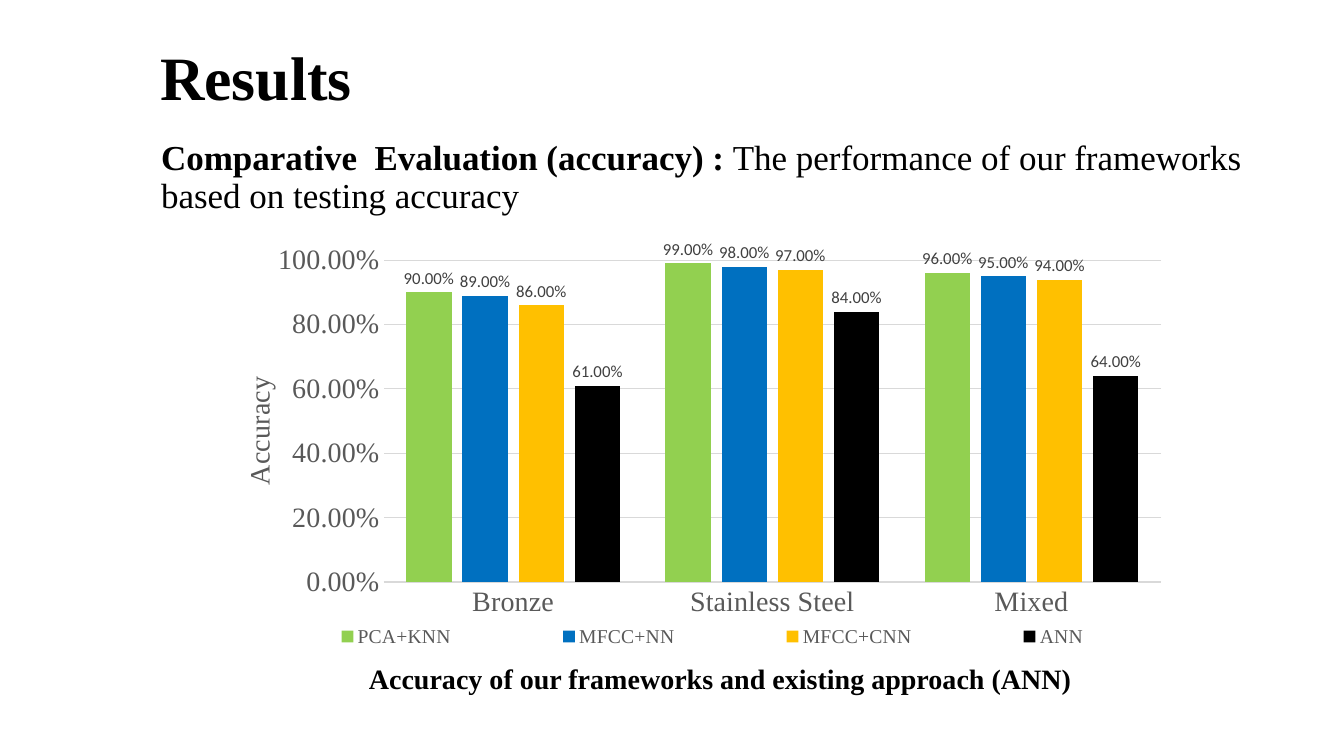
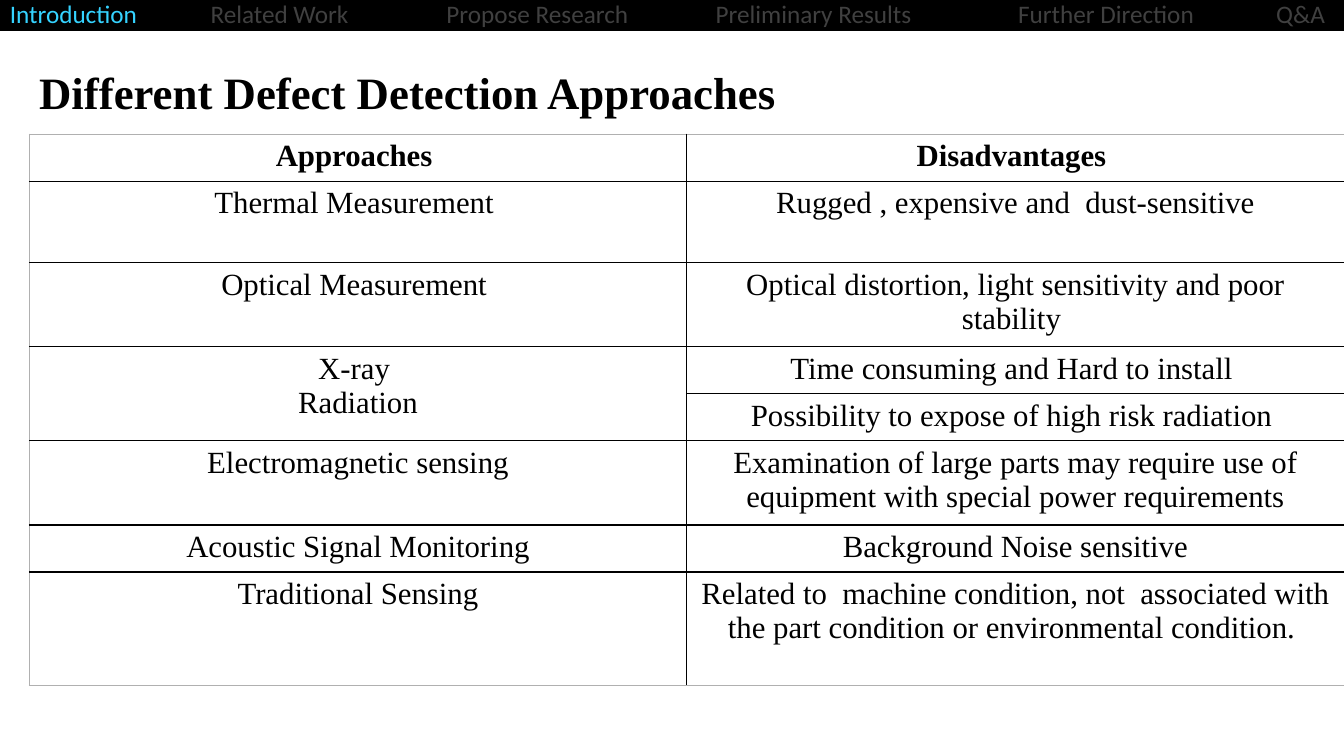
from lxml import etree
from pptx import Presentation
from pptx import util as u
from pptx.chart import data
from pptx.dml import color
from pptx.enum import chart as ch, shapes, text
from pptx.oxml import ns

COLORS = {
    "ink": "000000", "paper": "FFFFFF", "active": "35D3FF", "idle": "404040",
    "axis": "595959", "grid": "D9D9D9", "edge": "B0B0B0",
    "PCA+KNN": "92D050", "MFCC+NN": "0070C0", "MFCC+CNN": "FFC000", "ANN": "000000",
}
RGB = {name: color.RGBColor.from_string(value) for name, value in COLORS.items()}
SERIF, SANS = "Times New Roman", "Calibri"


def style(font, ink="ink", **values):
    font.color.rgb = RGB[ink]
    for attribute, value in values.items():
        setattr(font, attribute, value)


def add_text(slide, box, runs, anchor=text.MSO_ANCHOR.MIDDLE, spacing=0.9):
    frame = slide.shapes.add_textbox(*map(u.Inches, box)).text_frame
    frame.word_wrap = True
    frame.vertical_anchor = anchor
    paragraph = frame.paragraphs[0]
    paragraph.line_spacing = spacing
    for words, values in runs:
        run = paragraph.add_run()
        run.text = words
        style(run.font, **values)
    return frame


prs = Presentation()
prs.slide_width, prs.slide_height = u.Inches(13.33), u.Inches(7.5)
results, approaches = [prs.slides.add_slide(prs.slide_layouts[6]) for _ in range(2)]

heading = {"name": SERIF, "bold": True}
lead = {"name": SERIF, "size": u.Pt(25)}
add_text(results, (1.49, 0.19, 10.74, 1.22), [("Results", {**heading, "size": u.Pt(44)})])
add_text(results, (1.5, 1.35, 11.13, 0.84), [
    ("Comparative  Evaluation (accuracy) : ", {**lead, "bold": True}),
    ("The performance of our frameworks based on testing accuracy", lead),
])
add_text(results, (3.56, 6.51, 8.42, 0.44),
         [("Accuracy of our frameworks and existing approach (ANN)", {**heading, "size": u.Pt(20)})],
         text.MSO_ANCHOR.TOP, 1.0)

accuracies = {
    "PCA+KNN": (0.9, 0.99, 0.96),
    "MFCC+NN": (0.89, 0.98, 0.95),
    "MFCC+CNN": (0.86, 0.97, 0.94),
    "ANN": (0.61, 0.84, 0.64),
}
accuracy_data = data.CategoryChartData(number_format="0.00%")
accuracy_data.categories = ["Bronze", "Stainless Steel", "Mixed"]
for framework, values in accuracies.items():
    accuracy_data.add_series(framework, values)
accuracy = results.shapes.add_chart(
    ch.XL_CHART_TYPE.COLUMN_CLUSTERED,
    *map(u.Inches, (2.34, 2.16, 9.45, 4.35)), accuracy_data).chart
accuracy.has_title = False
style(accuracy.font, name=SANS, size=u.Pt(10))

bars = accuracy.plots[0]
bars.gap_width, bars.overlap, bars.vary_by_categories = 100, -24, False
for series in bars.series:
    series.format.fill.solid()
    series.format.fill.fore_color.rgb = RGB[series.name]
    labels = series.data_labels
    for attribute, value in {
        "show_value": True, "position": ch.XL_LABEL_POSITION.OUTSIDE_END,
        "number_format": "0.00%", "number_format_is_linked": False,
    }.items():
        setattr(labels, attribute, value)
    style(labels.font, "idle", name=SANS, size=u.Pt(12))

axis_font = {"ink": "axis", "name": SERIF, "size": u.Pt(20)}
metals, scale = accuracy.category_axis, accuracy.value_axis
for axis in (metals, scale):
    axis.major_tick_mark = axis.minor_tick_mark = ch.XL_TICK_MARK.NONE
    style(axis.tick_labels.font, **axis_font)
scale.minimum_scale, scale.maximum_scale, scale.major_unit = 0, 1, 0.2
scale.tick_labels.number_format = "0.00%"
scale.tick_labels.number_format_is_linked = False
scale.format.line.fill.background()
for line, width in ((metals.format.line, 1), (scale.major_gridlines.format.line, 0.75)):
    line.color.rgb = RGB["grid"]
    line.width = u.Pt(width)
scale_title = scale.axis_title.text_frame
scale_title.text = "Accuracy"
style(scale_title.paragraphs[0].runs[0].font, bold=False, **axis_font)

accuracy.has_legend = True
legend = accuracy.legend
legend.position = ch.XL_LEGEND_POSITION.BOTTOM
legend.include_in_layout = False
style(legend.font, "axis", name=SERIF, size=u.Pt(14))

plot_area = accuracy.element.find(".//" + ns.qn("c:plotArea"))
legend_area = accuracy.element.find(".//" + ns.qn("c:legend"))
for area, index, target, extent in (
    (plot_area, 0, "inner", (0.155, 0.097, 0.816, 0.734)),
    (legend_area, 1, None, (0, 0.92, 1, 0.07)),
):
    for automatic in area.findall(ns.qn("c:layout")):
        area.remove(automatic)
    layout = etree.Element(ns.qn("c:layout"))
    manual = etree.SubElement(layout, ns.qn("c:manualLayout"))
    settings = [("layoutTarget", target)] if target else []
    settings += [("xMode", "edge"), ("yMode", "edge"), *zip("xywh", extent)]
    for tag, value in settings:
        etree.SubElement(manual, ns.qn("c:" + tag), val=str(value))
    area.insert(index, layout)

band = approaches.shapes.add_shape(
    shapes.MSO_SHAPE.RECTANGLE, 0, 0, prs.slide_width, u.Inches(0.3))
band.shadow.inherit = False
band.fill.solid()
band.fill.fore_color.rgb = band.line.color.rgb = RGB["ink"]
band.line.width = u.Pt(1)

nav_font = {"name": SANS, "size": u.Pt(18)}
sections = ["Related Work", "Propose Research", "Preliminary Results", "Further Direction", "Q&A"]
nav = add_text(approaches, (0, 0, 13.33, 0.3), [
    ("Introduction", {**nav_font, "ink": "active"}),
    *[("\t" + section, {**nav_font, "ink": "idle"}) for section in sections],
])
nav.margin_top = nav.margin_bottom = 0
nav_format = nav.paragraphs[0]._p.get_or_add_pPr()
tabs = etree.SubElement(nav_format, ns.qn("a:tabLst"))
for stop in (1.99, 4.33, 7, 10, 12.56):
    etree.SubElement(tabs, ns.qn("a:tab"), pos=str(u.Inches(stop)), algn="l")

rows = [
    (0.44, "Approaches ", "Disadvantages "),
    (0.81, "Thermal Measurement ", "Rugged , expensive and  dust-sensitive"),
    (0.78, "Optical Measurement ", "Optical distortion, light sensitivity and poor stability "),
    (0.44, "X-ray \nRadiation", "Time consuming and Hard to install "),
    (0.45, "", "Possibility to expose of high risk radiation "),
    (0.81, "Electromagnetic sensing",
     "Examination of large parts may require use of equipment with special power requirements"),
    (0.44, "Acoustic Signal Monitoring", "Background Noise sensitive"),
    (1.12, "Traditional Sensing",
     "Related to  machine condition, not  associated with the part condition or environmental condition. "),
]
comparison = approaches.shapes.add_table(
    len(rows), 2, *map(u.Inches, (0.29, 1.33, 13.04, sum(row[0] for row in rows)))).table
comparison.first_row = comparison.horz_banding = False
comparison.cell(3, 0).merge(comparison.cell(4, 0))
for r, (height, *entries) in enumerate(rows):
    comparison.rows[r].height = u.Inches(height)
    for c, entry in enumerate(entries):
        cell = comparison.cell(r, c)
        if entry:
            cell.text = entry
        for paragraph in cell.text_frame.paragraphs:
            paragraph.alignment = text.PP_ALIGN.CENTER
            for run in paragraph.runs:
                style(run.font, name=SERIF, size=u.Pt(22), bold=r == 0)
        borders = cell._tc.get_or_add_tcPr()
        outer = {"L": c == 0, "R": c == 1, "T": r == 0, "B": r == len(rows) - 1}
        for side, is_outer in outer.items():
            border = etree.SubElement(borders, ns.qn("a:ln" + side),
                                      w=str(u.Pt(0.5 if is_outer else 1)))
            paint = etree.SubElement(border, ns.qn("a:solidFill"))
            etree.SubElement(paint, ns.qn("a:srgbClr"), val=COLORS["edge" if is_outer else "ink"])
        cell.fill.background()

add_text(approaches, (0.29, 0.59, 11.63, 0.64),
         [("Different Defect Detection Approaches", {**heading, "size": u.Pt(32)})],
         text.MSO_ANCHOR.TOP, 1.0)

prs.save("out.pptx")
